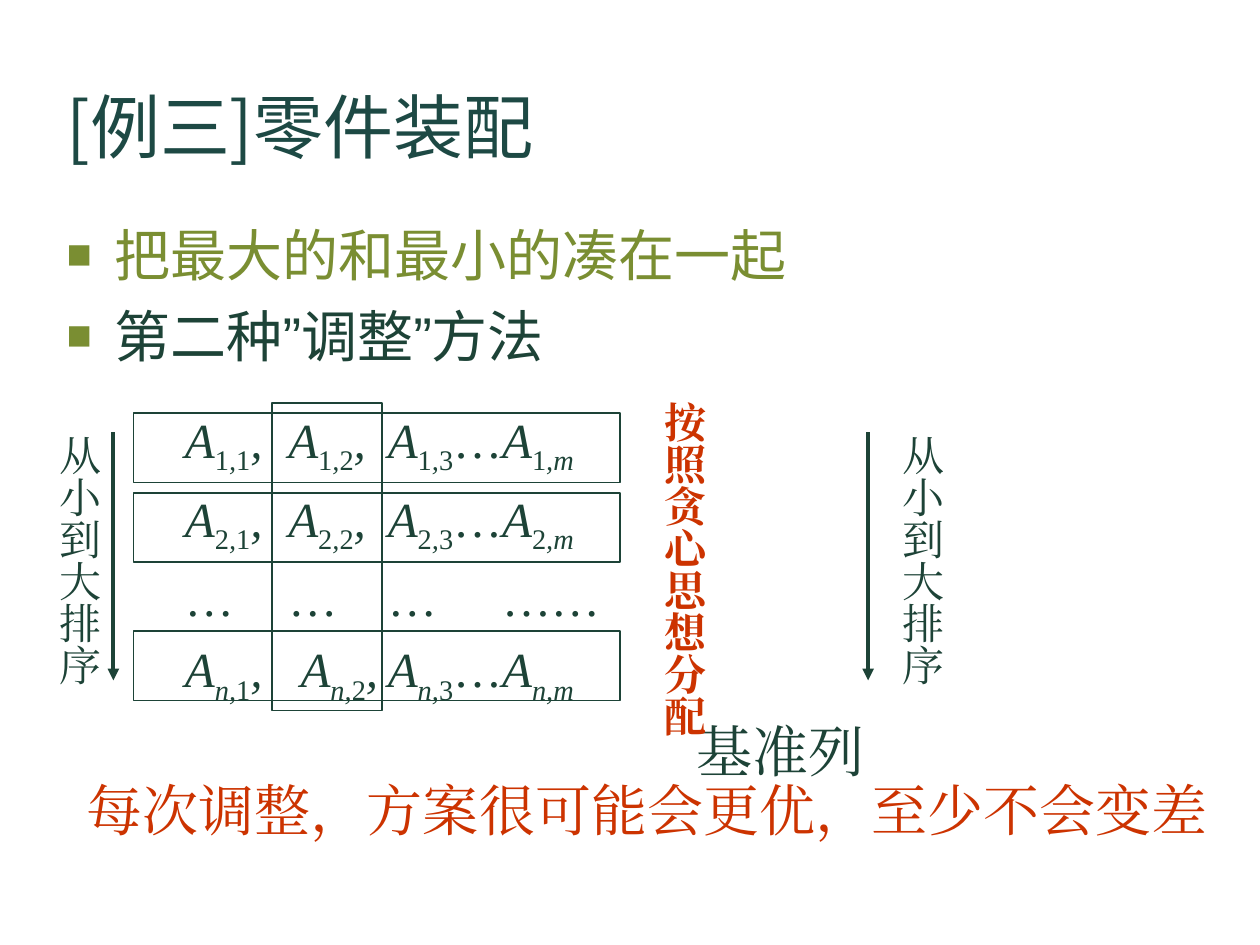
from lxml.etree import SubElement
from pptx import Presentation
from pptx.dml.color import RGBColor
from pptx.enum.shapes import MSO_CONNECTOR, MSO_SHAPE
from pptx.enum.text import MSO_ANCHOR, MSO_AUTO_SIZE, PP_ALIGN
from pptx.oxml.ns import qn
from pptx.util import Inches, Pt

DARK = "1D4337"
TEAL = "1D4944"
OLIVE = "7A8E32"
RED = "CC3300"
SERIF = "Times New Roman"
SANS = "Arial"
CJK = "Noto Sans CJK SC"


def rgb(value):
    return RGBColor.from_string(value)


class Deck:
    def __init__(self, prs):
        self.s = prs.slides.add_slide(prs.slide_layouts[6])

    def box(self, x, y, w, h, wrap=True, grow=False):
        sp = self.s.shapes.add_textbox(Inches(x), Inches(y), Inches(w), Inches(h))
        tf = sp.text_frame
        tf.word_wrap = wrap
        tf.auto_size = MSO_AUTO_SIZE.SHAPE_TO_FIT_TEXT if grow else MSO_AUTO_SIZE.NONE
        return tf

    def run(self, p, text, size, color=DARK, font=SERIF, bold=False, italic=False, sub=False):
        r = p.add_run()
        r.text = text
        r.font.size = Pt(size)
        r.font.bold = bold
        r.font.italic = italic
        r.font.color.rgb = rgb(color)
        r.font.name = font
        rPr = r.font._element
        SubElement(rPr, qn("a:ea"), typeface=font)
        if sub:
            rPr.set("baseline", "-25000")

    def indent(self, p, left, first, before):
        p.space_before = Pt(before)
        pPr = p._p.get_or_add_pPr()
        pPr.set("marL", str(Inches(left)))
        pPr.set("indent", str(Inches(first)))
        return pPr

    def title(self, x, y, w, h, text):
        tf = self.box(x, y, w, h)
        tf.vertical_anchor = MSO_ANCHOR.MIDDLE
        self.run(tf.paragraphs[0], text, 40, TEAL, CJK)

    def bullets(self, x, y, w, h, items):
        tf = self.box(x, y, w, h)
        for k, (text, color) in enumerate(items):
            p = tf.add_paragraph() if k else tf.paragraphs[0]
            pPr = self.indent(p, 0.38, -0.38, 8)
            SubElement(SubElement(pPr, qn("a:buClr")), qn("a:srgbClr"), val=OLIVE)
            SubElement(pPr, qn("a:buSzPct"), val="75000")
            SubElement(pPr, qn("a:buFont"), typeface=SANS)
            SubElement(pPr, qn("a:buChar"), char="■")
            self.run(p, text, 32, color, SANS)

    def term(self, p, row, col):
        self.run(p, "A", 28, italic=True)
        for text in (row, ",", col):
            self.run(p, text, 28, italic=not text.isdigit(), sub=True)

    def matrix_column(self, x, col, dots="…", last=None, lead=""):
        tf = self.box(x, 3.2, 4.37, 2.52)
        for k, row in enumerate(("1", "2", None, "n")):
            p = tf.add_paragraph() if k else tf.paragraphs[0]
            pPr = self.indent(p, 0.81, -0.31, 7)
            tabs = SubElement(pPr, qn("a:tabLst"))
            for stop in range(8):
                SubElement(tabs, qn("a:tab"), pos=str(Inches(stop)), algn="l")
            if row is None:
                self.run(p, dots, 28)
                continue
            if lead and row == "n":
                self.run(p, lead, 28)
            self.term(p, row, col)
            if last:
                self.run(p, "…", 28)
                self.term(p, row, last)
            else:
                self.run(p, ",", 28, italic=True)

    def frame(self, x, y, w, h):
        sp = self.s.shapes.add_shape(
            MSO_SHAPE.RECTANGLE, Inches(x), Inches(y), Inches(w), Inches(h))
        sp.shadow.inherit = False
        sp.fill.background()
        sp.line.color.rgb = rgb(DARK)
        sp.line.width = Pt(1)

    def label(self, x, y, w, h, text, color=DARK, wrap=True):
        p = self.box(x, y, w, h, wrap, True).paragraphs[0]
        p.alignment = PP_ALIGN.CENTER
        self.run(p, text, 32, color)

    def vertical(self, x, y, h, text, color=DARK, bold=False):
        tf = self.box(x, y, 0.6, h, False, True)
        tf.margin_left = tf.margin_right = Inches(0.05)
        tf.margin_top = tf.margin_bottom = Inches(0.1)
        tf._txBody.bodyPr.set("vert", "eaVert")
        self.run(tf.paragraphs[0], text, 24, color, bold=bold)

    def arrow(self, x, top, bottom):
        c = self.s.shapes.add_connector(
            MSO_CONNECTOR.STRAIGHT, Inches(x), Inches(top), Inches(x), Inches(bottom))
        c.line.color.rgb = rgb(DARK)
        c.line.width = Pt(2.25)
        SubElement(c.line._get_or_add_ln(), qn("a:tailEnd"), type="triangle")
        SubElement(c._element.spPr, qn("a:effectLst"))


def main():
    prs = Presentation()
    prs.slide_width, prs.slide_height = Inches(10), Inches(7.5)
    d = Deck(prs)

    d.matrix_column(2.48, "3", dots="…\t ……", last="m")
    d.title(0.43, 0.52, 9.06, 0.96, "[例三]零件装配")
    d.bullets(0.43, 1.7, 9.21, 1.65, [
        ("把最大的和最小的凑在一起", OLIVE),
        ("第二种”调整”方法", DARK),
    ])
    d.matrix_column(0.87, "1")
    d.matrix_column(1.69, "2", lead=" ")

    d.frame(2.16, 3.2, 0.87, 2.44)
    for y in (3.28, 3.91, 5.01):
        d.frame(1.06, y, 3.86, 0.55)

    d.label(5.08, 5.64, 2.23, 0.64, "基准列")
    for x in (6.97, 0.28):
        d.vertical(x, 3.35, 2.1, "从小到大排序")
    for x in (0.9, 6.89):
        d.arrow(x, 3.43, 5.4)
    d.vertical(5.08, 3.09, 2.77, "按照贪心思想分配", RED, True)
    d.label(0.59, 6.11, 9.1, 0.64, "每次调整，方案很可能会更优，至少不会变差", RED, False)

    prs.save("out.pptx")


if __name__ == "__main__":
    main()
